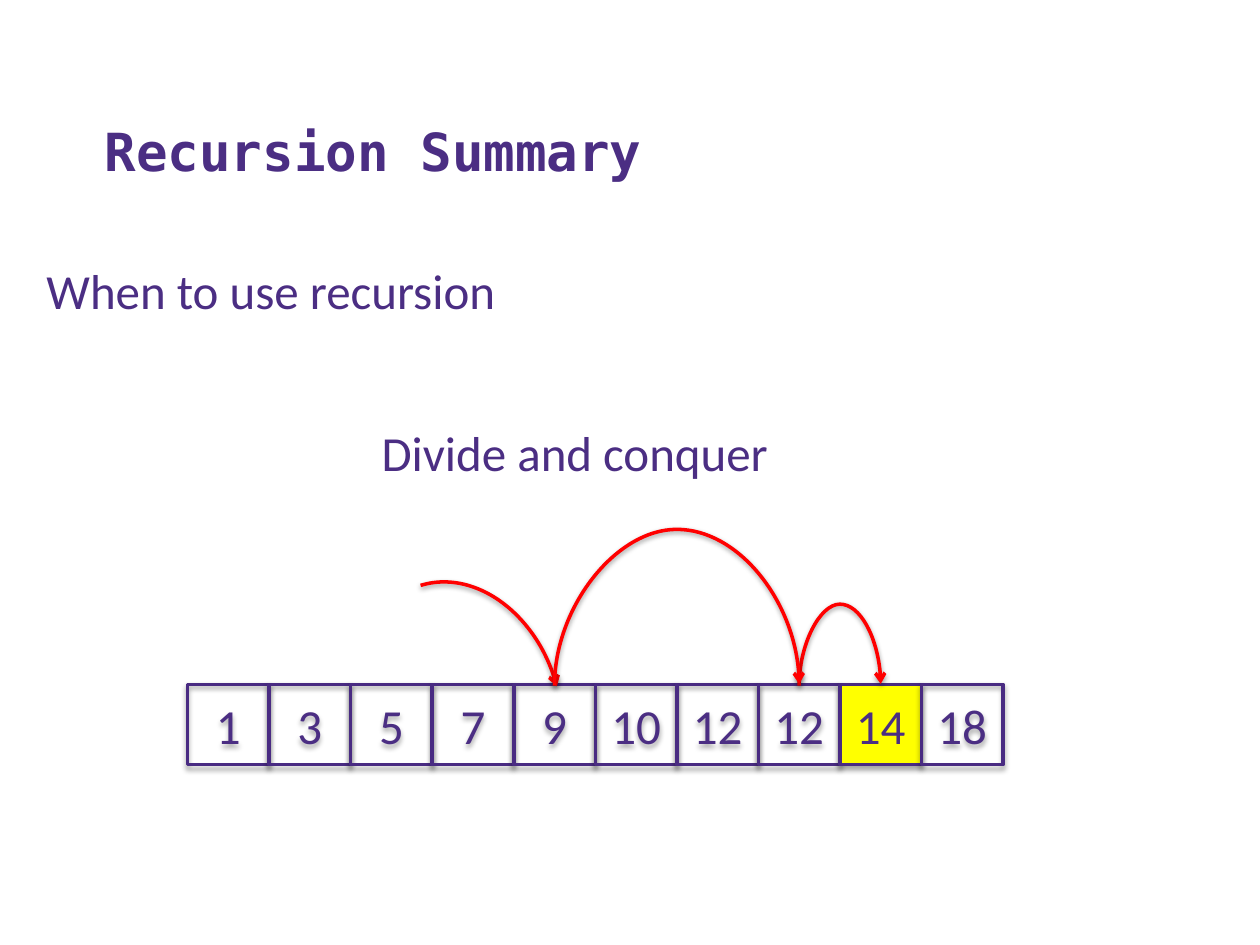
from dataclasses import dataclass

from lxml import etree
from pptx import Presentation
from pptx.dml.color import RGBColor
from pptx.enum import shapes, text
from pptx.oxml.ns import qn
from pptx.util import Pt


@dataclass(frozen=True)
class Theme:
    ink: str = "4B2E83"
    edge: str = "492B82"
    hop: str = "FF0000"
    mark: str = "FFFF00"
    shade: str = "000000"
    head: str = "DejaVu Sans Mono"
    font: str = "Calibri"
    title: int = 30
    size: int = 28
    line: int = 2


class Deck:
    def __init__(self, theme):
        self.theme = theme
        self.prs = Presentation()
        self.prs.slide_width, self.prs.slide_height = Pt(720), Pt(540)
        self.slide = self.prs.slides.add_slide(self.prs.slide_layouts[5])

    def style(self, par, words, size, font, bold=False):
        par.text = words
        par.font.size, par.font.name, par.font.bold = Pt(size), font, bold
        par.font.color.rgb = RGBColor.from_string(self.theme.ink)

    def title(self, words, x, y, w, h):
        box = self.slide.shapes.title
        box.left, box.top, box.width, box.height = Pt(x), Pt(y), Pt(w), Pt(h)
        frame = box.text_frame
        frame.vertical_anchor = text.MSO_ANCHOR.BOTTOM
        par = frame.paragraphs[0]
        par.alignment = text.PP_ALIGN.LEFT
        self.style(par, words, self.theme.title, self.theme.head, True)

    def label(self, words, x, y, w, h):
        box = self.slide.shapes.add_textbox(Pt(x), Pt(y), Pt(w), Pt(h))
        frame = box.text_frame
        frame.word_wrap = False
        frame.auto_size = text.MSO_AUTO_SIZE.SHAPE_TO_FIT_TEXT
        self.style(frame.paragraphs[0], words, self.theme.size, self.theme.font)

    def stroke(self, shape, color, alpha, dist, arrow=False):
        shape.line.color.rgb = RGBColor.from_string(color)
        shape.line.width = Pt(self.theme.line)
        props = shape.element.spPr
        if arrow:
            etree.SubElement(props.get_or_add_ln(), qn("a:tailEnd"), type="arrow")
        glow = etree.SubElement(props, qn("a:effectLst"))
        drop = etree.SubElement(
            glow, qn("a:outerShdw"), blurRad=str(Pt(3.1)), dist=str(Pt(dist)),
            dir="5400000", rotWithShape="0")
        tint = etree.SubElement(drop, qn("a:srgbClr"), val=self.theme.shade)
        etree.SubElement(tint, qn("a:alpha"), val=str(alpha * 1000))

    def cell(self, words, x, y, w, h, fill=None):
        box = self.slide.shapes.add_shape(
            shapes.MSO_SHAPE.RECTANGLE, Pt(x), Pt(y), Pt(w), Pt(h))
        if fill:
            box.fill.solid()
            box.fill.fore_color.rgb = RGBColor.from_string(fill)
        else:
            box.fill.background()
        self.stroke(box, self.theme.edge, 35, 1.8)
        frame = box.text_frame
        frame.vertical_anchor = text.MSO_ANCHOR.MIDDLE
        par = frame.paragraphs[0]
        par.alignment = text.PP_ALIGN.CENTER
        self.style(par, words, self.theme.size, self.theme.font)

    def arc(self, x, y, w, h, turn, start, end):
        bow = self.slide.shapes.add_shape(
            shapes.MSO_SHAPE.ARC, Pt(x), Pt(y), Pt(w), Pt(h))
        bow.rotation = turn
        bow.adjustments[0], bow.adjustments[1] = start, end
        bow.fill.background()
        self.stroke(bow, self.theme.hop, 38, 1.6, True)

    def hop(self, start, end, y, rise):
        mid, half = (start + end) / 2, (end - start) / 2
        link = self.slide.shapes.add_connector(
            shapes.MSO_CONNECTOR.CURVE, Pt(mid + 0.5), Pt(y + half),
            Pt(mid - 0.5), Pt(y - half))
        props = link.element.spPr
        props.find(qn("a:xfrm")).set("rot", "5400000")
        guides = props.find(qn("a:prstGeom")).find(qn("a:avLst"))
        etree.SubElement(guides, qn("a:gd"), name="adj1",
                         fmla=f"val {round(rise * 100000)}")
        self.stroke(link, self.theme.hop, 38, 1.6, True)


def main():
    theme = Theme()
    deck = Deck(theme)
    deck.title("Recursion Summary", 52.5, 29.5, 644.5, 78)
    deck.label("When to use recursion", 19.5, 145.5, 273.5, 41)
    deck.label("Divide and conquer", 211, 238, 244, 41)

    left, top, wide, high = 107.2, 391, 46.6, 46
    goal = 8
    for i, num in enumerate([1, 3, 5, 7, 9, 10, 12, 12, 14, 18]):
        deck.cell(str(num), left + i * wide, top, wide, high,
                  theme.mark if i == goal else None)

    deck.arc(205.2, 331.2, 114.5, 148.3, 342.7, 162, 2.45)
    for start, end, rise in [(7, goal, 46.94), (4, 7, 90)]:
        deck.hop(left + (start + 0.5) * wide, left + (end + 0.5) * wide,
                 top + 0.3, rise)
    deck.prs.save("out.pptx")


if __name__ == "__main__":
    main()
